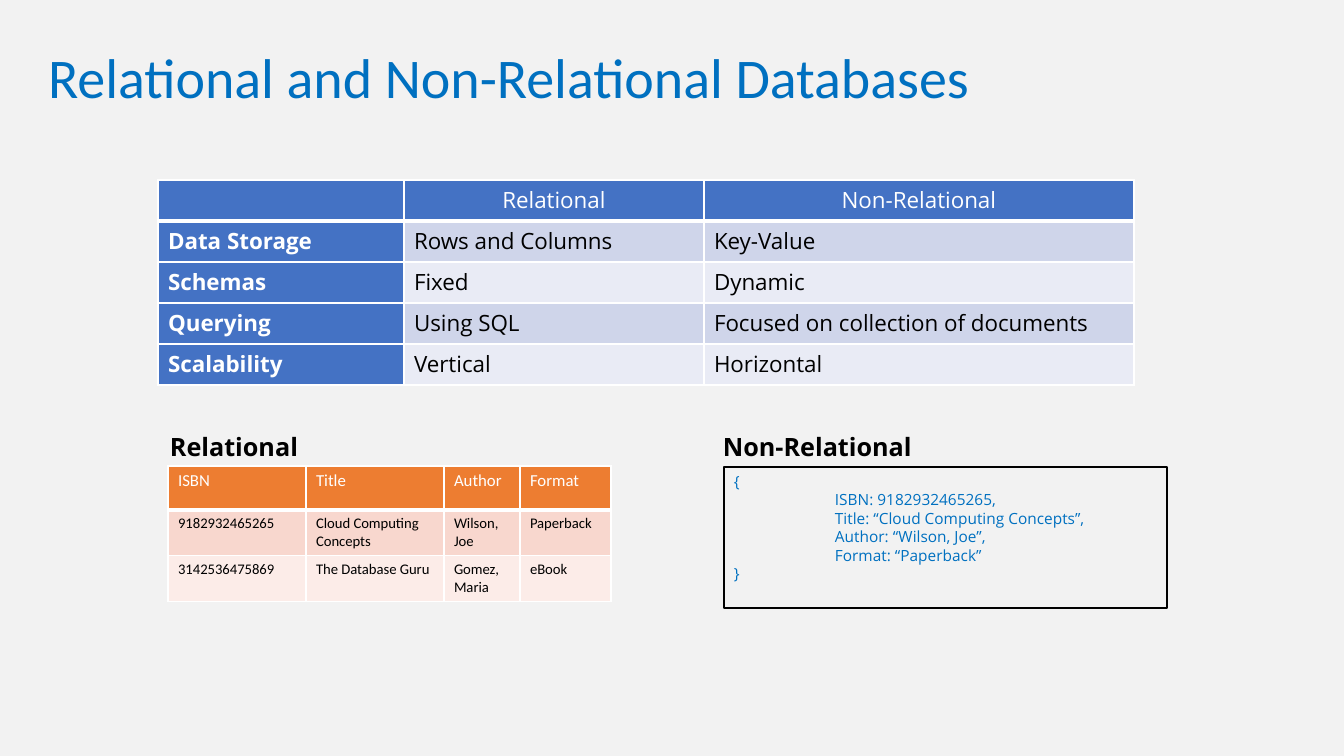
from dataclasses import dataclass

from lxml.etree import SubElement
from pptx import Presentation
from pptx.dml.color import RGBColor as Rgb
from pptx.enum.shapes import MSO_SHAPE as Shape
from pptx.enum.text import MSO_ANCHOR as Anchor
from pptx.enum.text import MSO_AUTO_SIZE as Fit
from pptx.enum.text import PP_ALIGN as Align
from pptx.oxml.ns import qn
from pptx.util import Emu, Pt

SCALE = 914400 / 100.8  # EMU in one px


def px(n):
    return Emu(round(n * SCALE))


@dataclass(frozen=True)
class Theme:
    # Fonts
    sans: str = "Open Sans"
    plain: str = "Calibri"
    # Colours
    back: str = "F2F2F2"
    blue: str = "0070C0"
    black: str = "000000"
    white: str = "FFFFFF"
    main: tuple = ("4472C4", "CFD5EA", "E9EBF5")  # head, odd, even
    books: tuple = ("ED7D31", "F8D7CE", "FCECE8")
    # Type sizes in points
    title: float = 40
    label: float = 18
    grid: float = 16
    head: float = 12
    body: float = 10.5
    code: float = 11
    lead: float = 13.2


class Board:
    def __init__(self, theme):
        self.theme = theme
        self.deck = Presentation()
        self.deck.slide_width, self.deck.slide_height = px(1344), px(756)
        self.slide = self.deck.slides.add_slide(self.deck.slide_layouts[5])
        fill = self.slide.background.fill
        fill.solid()
        fill.fore_color.rgb = Rgb.from_string(theme.back)

    def run(self, para, text, size, color, face, bold=False):
        run = para.add_run()
        run.text = text
        font = run.font
        font.size, font.name, font.bold = Pt(size), face, bold
        font.color.rgb = Rgb.from_string(color)

    def title(self, box, text):
        shape = self.slide.shapes.title
        shape.left, shape.top, shape.width, shape.height = map(px, box)
        frame = shape.text_frame
        frame.vertical_anchor = Anchor.MIDDLE
        frame.word_wrap = True
        para = frame.paragraphs[0]
        para.alignment, para.line_spacing = Align.LEFT, 0.9
        self.run(para, text, self.theme.title, self.theme.blue, self.theme.plain)

    def label(self, box, text):
        frame = self.slide.shapes.add_textbox(*map(px, box)).text_frame
        frame.word_wrap = False
        frame.auto_size = Fit.SHAPE_TO_FIT_TEXT
        self.run(frame.paragraphs[0], text, self.theme.label,
                 self.theme.black, self.theme.sans, True)

    def code(self, box, lines):
        shape = self.slide.shapes.add_shape(Shape.RECTANGLE, *map(px, box))
        shape.shadow.inherit = False
        shape.fill.background()
        shape.line.color.rgb = Rgb.from_string(self.theme.black)
        shape.line.width = Pt(1.5)
        frame = shape.text_frame
        frame.word_wrap = True
        frame.vertical_anchor = Anchor.TOP
        for i, (indent, text) in enumerate(lines):
            para = frame.add_paragraph() if i else frame.paragraphs[0]
            para.alignment, para.line_spacing = Align.LEFT, Pt(self.theme.lead)
            para._p.get_or_add_pPr().set("marL", str(px(indent)))
            self.run(para, text, self.theme.code, self.theme.blue, self.theme.sans)

    def edge(self, cell, top, bottom):
        props = cell._tc.get_or_add_tcPr()
        for tag, width in (("L", 1), ("R", 1), ("T", top), ("B", bottom)):
            line = SubElement(props, qn(f"a:ln{tag}"), w=str(Pt(width)))
            fill = SubElement(line, qn("a:solidFill"))
            SubElement(fill, qn("a:srgbClr"), val=self.theme.white)

    def table(self, left, top, widths, height, rows, fills, face, sizes,
              center=False, side=False):
        """Draw a banded table; sizes holds the head and body type sizes."""
        theme = self.theme
        frame = self.slide.shapes.add_table(
            len(rows), len(widths), px(left), px(top),
            px(sum(widths)), px(height * len(rows)))
        table = frame.table
        for col, width in zip(table.columns, widths):
            col.width = px(width)
        for r, row in enumerate(rows):
            table.rows[r].height = px(height)
            for c, text in enumerate(row):
                cell = table.cell(r, c)
                self.edge(cell, 3 if r == 1 else 1, 3 if r == 0 else 1)
                first = side and c == 0
                band = 0 if r == 0 or first else 2 - r % 2
                cell.fill.solid()
                cell.fill.fore_color.rgb = Rgb.from_string(fills[band])
                if not text:
                    continue
                para = cell.text_frame.paragraphs[0]
                if center and r == 0:
                    para.alignment = Align.CENTER
                self.run(para, text, sizes[min(r, 1)],
                         theme.black if band else theme.white,
                         face, first and r > 0)


def main():
    theme = Theme()
    board = Board(theme)
    board.title((38, 31, 1239, 99), "Relational and Non-Relational Databases")

    # Comparison of the two kinds
    board.table(158, 180, (246, 300, 430), 41, (
        ("", "Relational", "Non-Relational"),
        ("Data Storage", "Rows and Columns", "Key-Value"),
        ("Schemas", "Fixed", "Dynamic"),
        ("Querying", "Using SQL", "Focused on collection of documents"),
        ("Scalability", "Vertical", "Horizontal"),
    ), theme.main, theme.sans, (theme.grid, theme.grid), center=True, side=True)

    # Relational example
    board.table(168, 466, (138, 138, 76, 91), 44, (
        ("ISBN", "Title", "Author", "Format"),
        ("9182932465265", "Cloud Computing Concepts", "Wilson, Joe", "Paperback"),
        ("3142536475869", "The Database Guru", "Gomez, Maria", "eBook"),
    ), theme.books, theme.plain, (theme.head, theme.body))
    board.label((160, 426, 150, 40), "Relational")

    # Non-relational example
    board.label((713, 426, 212, 40), "Non-Relational")
    board.code((724, 467, 443, 141), (
        (0, "{"),
        (101, "ISBN: 9182932465265,"),
        (101, "Title: “Cloud Computing Concepts”,"),
        (101, "Author: “Wilson, Joe”,"),
        (101, "Format: “Paperback”"),
        (0, "}"),
    ))
    board.deck.save("out.pptx")


if __name__ == "__main__":
    main()
